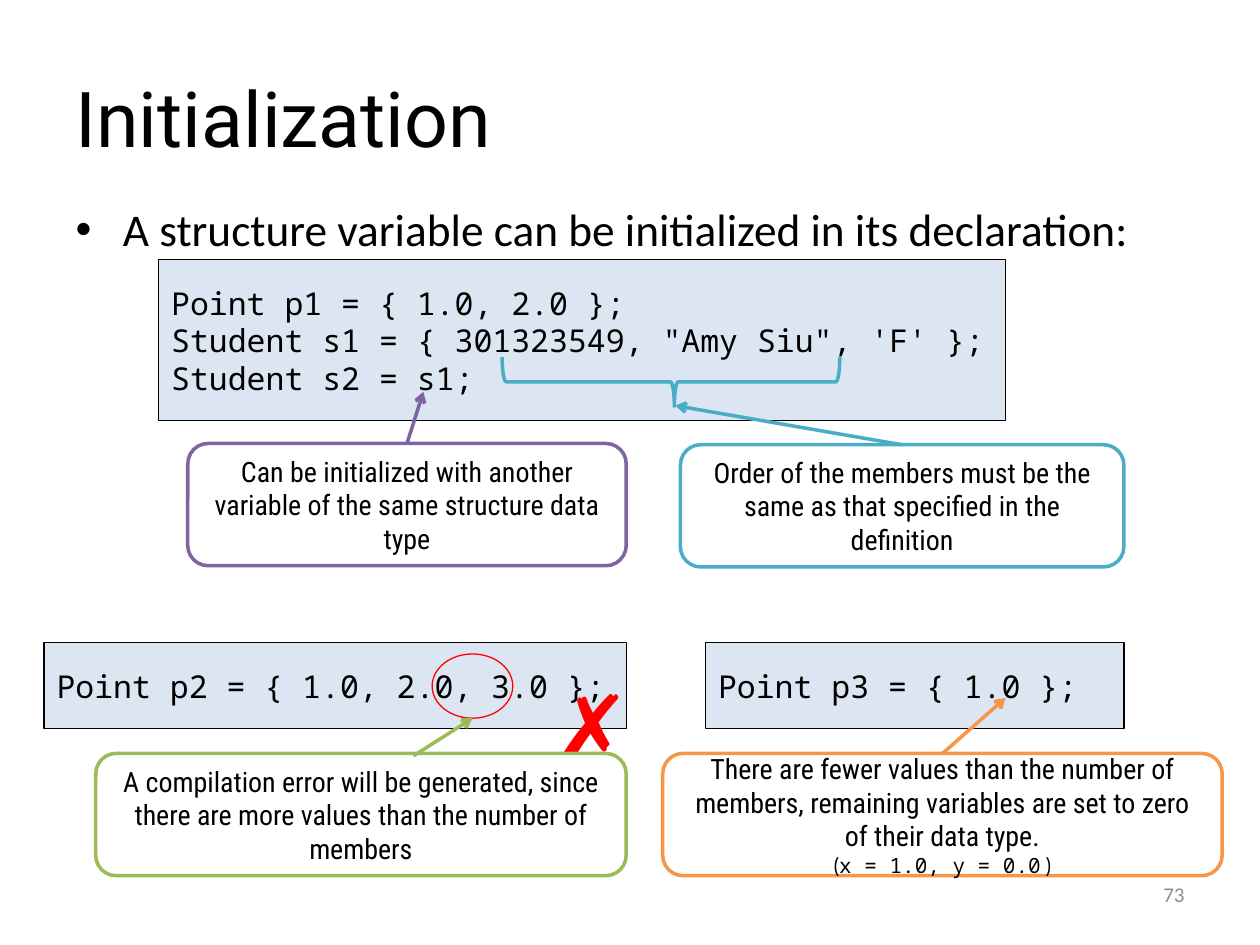
from lxml import etree
from pptx import Presentation
from pptx.dml.color import RGBColor
from pptx.enum.shapes import MSO_CONNECTOR, MSO_SHAPE
from pptx.enum.text import MSO_ANCHOR, MSO_AUTO_SIZE, PP_ALIGN
from pptx.oxml.ns import qn
from pptx.util import Inches, Pt

RECT, ROUND = MSO_SHAPE.RECTANGLE, MSO_SHAPE.ROUNDED_RECTANGLE
OVAL, BRACE = MSO_SHAPE.OVAL, MSO_SHAPE.RIGHT_BRACE
STRAIGHT = MSO_CONNECTOR.STRAIGHT
TOP, MIDDLE = MSO_ANCHOR.TOP, MSO_ANCHOR.MIDDLE
LEFT, CENTER, RIGHT = PP_ALIGN.LEFT, PP_ALIGN.CENTER, PP_ALIGN.RIGHT
FIXED, GROW = MSO_AUTO_SIZE.NONE, MSO_AUTO_SIZE.SHAPE_TO_FIT_TEXT

BLACK = RGBColor(0x00, 0x00, 0x00)
WHITE = RGBColor(0xFF, 0xFF, 0xFF)
GRAY = RGBColor(0x8C, 0x8C, 0x8C)
PALE = RGBColor(0xDC, 0xE6, 0xF2)
TEAL = RGBColor(0x4B, 0xAC, 0xC6)
PURPLE = RGBColor(0x80, 0x64, 0xA2)
GREEN = RGBColor(0x9B, 0xBB, 0x59)
ORANGE = RGBColor(0xF7, 0x96, 0x46)
RED = RGBColor(0xFF, 0x00, 0x00)

BASE, HEAD, NOTE, CODE = "Calibri", "Roboto", "Roboto Condensed", "Noto Sans Mono"


def write(para, text, font=BASE, size=16, color=BLACK, align=LEFT):
    para.alignment = align
    run = para.add_run()
    run.text = text
    run.font.name = font
    run.font.size = Pt(size)
    run.font.color.rgb = color


class Deck:
    def __init__(self):
        self.show = Presentation()
        self.show.slide_width, self.show.slide_height = Inches(10), Inches(7.5)
        self.slide = self.show.slides.add_slide(self.show.slide_layouts[1])
        self.shapes = self.slide.shapes

    def holder(self, index, text, box, anchor, **style):
        item = self.slide.placeholders[index]
        item.left, item.top, item.width, item.height = map(Inches, box)
        frame = item.text_frame
        frame.auto_size = FIXED
        frame.vertical_anchor = anchor
        write(frame.paragraphs[0], text, **style)

    def label(self, text, box, wrap=True, **style):
        frame = self.shapes.add_textbox(*map(Inches, box)).text_frame
        frame.word_wrap = wrap
        frame.auto_size = FIXED if wrap else GROW
        write(frame.paragraphs[0], text, **style)

    def shape(self, kind, box, line, width, fill=None):
        item = self.shapes.add_shape(kind, *map(Inches, box))
        item.shadow.inherit = False
        if fill is None:
            item.fill.background()
        else:
            item.fill.solid()
            item.fill.fore_color.rgb = fill
        item.line.color.rgb = line
        item.line.width = Pt(width)
        item.text_frame.word_wrap = True
        item.text_frame.vertical_anchor = MIDDLE
        return item

    def code(self, lines, box):
        frame = self.shape(RECT, box, BLACK, 0.75, PALE).text_frame
        for row, text in enumerate(lines):
            para = frame.add_paragraph() if row else frame.paragraphs[0]
            write(para, text, font=CODE, size=18)

    def note(self, text, box, color):
        item = self.shape(ROUND, box, color, 2, WHITE)
        write(item.text_frame.paragraphs[0], text, font=NOTE, align=CENTER)
        return item

    def arrow(self, start, end, color, source=None):
        item = self.shapes.add_connector(STRAIGHT, *map(Inches, start + end))
        if source is not None:
            item.begin_connect(source, 0)
        item.line.color.rgb = color
        item.line.width = Pt(2)
        etree.SubElement(item.line._get_or_add_ln(), qn("a:tailEnd"), type="arrow")
        etree.SubElement(item._element.spPr, qn("a:effectLst"))


def main():
    deck = Deck()
    deck.holder(0, "Initialization", (0.5, 0.3, 9, 1.25), MIDDLE, font=HEAD, size=44)
    deck.holder(1, "A structure variable can be initialized in its declaration:",
                (0.5, 1.55, 9, 0.52), TOP, size=25.9)
    deck.label("73", (7.17, 6.95, 2.33, 0.4), size=12, color=GRAY, align=RIGHT)

    deck.code(["Point p1 = { 1.0, 2.0 };",
               "Student s1 = { 301323549, \"Amy Siu\", 'F' };",
               "Student s2 = s1;"], (1.26, 2.06, 6.72, 1.28))
    brace = deck.shape(BRACE, (5.13, 1.69, 0.39, 2.68), TEAL, 2)
    brace.rotation = 90
    brace.adjustments[0], brace.adjustments[1] = 0.08, 0.49

    order = deck.note("Order of the members must be the same as that specified in the definition",
                      (5.4, 3.53, 3.52, 0.97), TEAL)
    deck.arrow((7.16, 3.53), (5.36, 3.22), TEAL, order)
    other = deck.note("Can be initialized with another variable of the same structure data type",
                      (1.49, 3.52, 3.48, 0.97), PURPLE)
    deck.arrow((3.23, 3.52), (3.36, 3.11), PURPLE, other)

    deck.code(["Point p2 = { 1.0, 2.0, 3.0 };"], (0.35, 5.1, 4.62, 0.68))
    deck.code(["Point p3 = { 1.0 };"], (5.6, 5.1, 3.32, 0.68))
    deck.label("✗", (4.29, 5.26, 0.68, 1.01), wrap=False, size=54, color=RED)
    deck.shape(OVAL, (3.43, 5.19, 0.64, 0.51), RED, 0.75)

    deck.note("A compilation error will be generated, since there are more values "
              "than the number of members", (0.76, 5.98, 4.21, 0.97), GREEN)
    fewer = deck.note("There are fewer values than the number of members, remaining "
                      "variables are set to zero of their data type.",
                      (5.26, 5.98, 4.44, 0.97), ORANGE)
    para = fewer.text_frame.add_paragraph()
    for text, font in (("(", "Cabin"), ("x = 1.0, y = 0.0", CODE), (" )", "Cabin")):
        write(para, text, font=font, size=12, align=CENTER)
    deck.arrow((3.28, 6), (3.75, 5.7), GREEN)
    deck.arrow((7.48, 5.98), (7.98, 5.54), ORANGE, fewer)

    deck.show.save("out.pptx")


if __name__ == "__main__":
    main()
